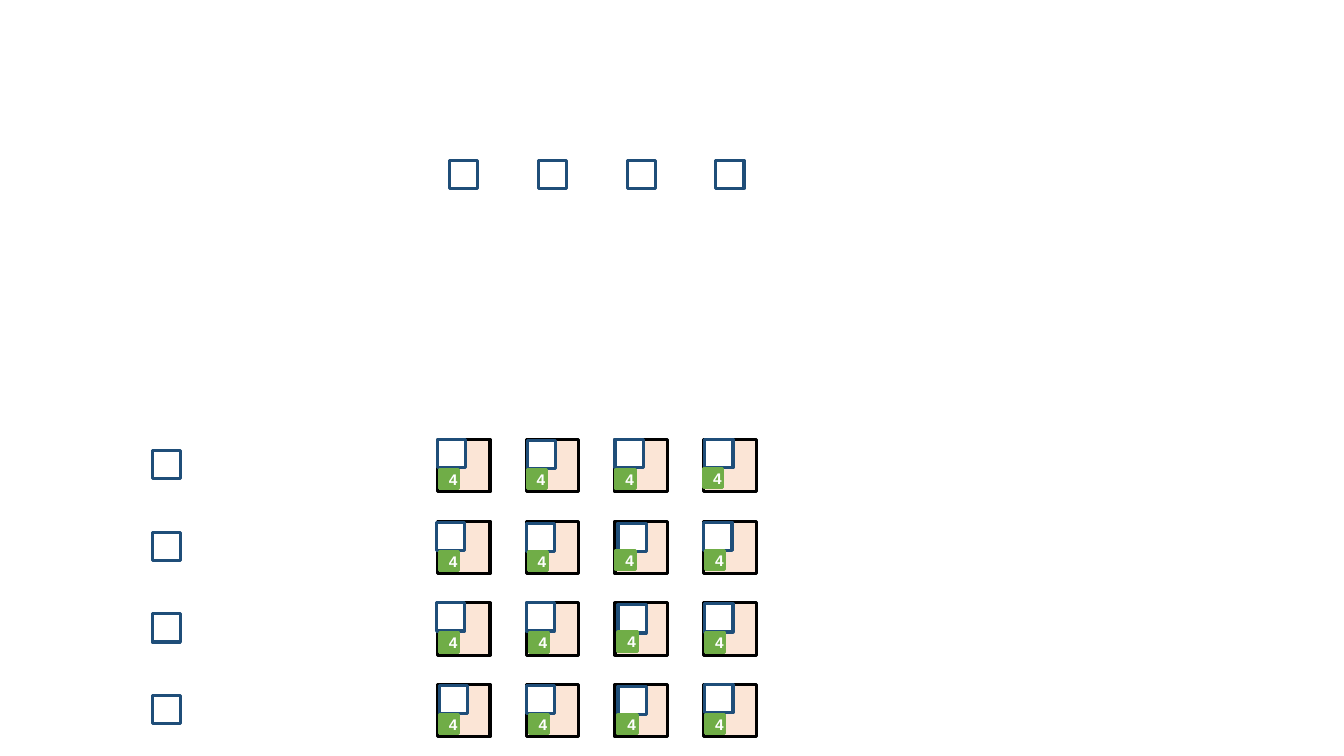
from itertools import product

from pptx import Presentation
from pptx.dml.color import RGBColor
from pptx.enum.shapes import MSO_SHAPE
from pptx.enum.text import MSO_ANCHOR, PP_ALIGN
from pptx.util import Inches, Pt

RECT = MSO_SHAPE.RECTANGLE
MIDDLE, CENTER = MSO_ANCHOR.MIDDLE, PP_ALIGN.CENTER

COLORS = {"white": "FFFFFF", "black": "000000", "peach": "FBE5D6",
          "navy": "1F4E79", "green": "70AD47"}
LABEL = "4"
FONT = {"name": "Arial", "size": Pt(11), "bold": True}

ROWS, COLS = 4, 4
LEFT, TOP = 4.34, 4.36
COL_PITCH, ROW_PITCH = 0.88, 0.81
TILE, BOX, TAG = 0.52, 0.28, 0.19
ROW_BOXES = (1.51, 4.47)
COL_BOXES = (4.46, 1.59)

# Offsets of the small squares from their tile corner, in hundredths of an inch
BOX_OFFSETS = [
    [(0, 0), (1, 1), (0, 0), (1, 0)],
    [(-1, 1), (0, 2), (3, 2), (0, 1)],
    [(-1, 0), (0, 0), (3, 2), (1, 1)],
    [(2, 1), (0, 1), (3, 2), (1, 0)],
]
TAG_OFFSETS = [
    [(2, 30), (1, 30), (1, 30), (0, 29)],
    [(2, 30), (2, 30), (1, 29), (2, 29)],
    [(2, 30), (3, 30), (3, 29), (2, 30)],
    [(2, 30), (3, 30), (3, 30), (2, 30)],
]


def add_rect(s, x, y, w, h, line, fill=None, text=None):
    """Add a rectangle, optionally filled and labelled."""
    sp = s.shapes.add_shape(RECT, Inches(x), Inches(y), Inches(w), Inches(h))
    sp.shadow.inherit = False
    sp.line.color.rgb = RGBColor.from_string(COLORS[line])
    sp.line.width = Pt(2.25)
    if fill:
        sp.fill.solid()
        sp.fill.fore_color.rgb = RGBColor.from_string(COLORS[fill])
    else:
        sp.fill.background()
    if text:
        tf = sp.text_frame
        tf.vertical_anchor = MIDDLE
        p = tf.paragraphs[0]
        p.alignment = CENTER
        r = p.add_run()
        r.text = text
        for name, value in FONT.items():
            setattr(r.font, name, value)
        r.font.color.rgb = RGBColor.from_string(COLORS["white"])


def add_grid(s, size, line, fill, offsets=None, text=None):
    """Add one square per grid cell, shifted by its offset."""
    for row, col in product(range(ROWS), range(COLS)):
        dx, dy = offsets[row][col] if offsets else (0, 0)
        add_rect(s, LEFT + col * COL_PITCH + dx / 100,
                 TOP + row * ROW_PITCH + dy / 100,
                 size, size, line, fill, text)


prs = Presentation()
prs.slide_width, prs.slide_height = Inches(13.33), Inches(7.5)
s = prs.slides.add_slide(prs.slide_layouts[6])

add_rect(s, 1.4, 1.35, 7.25, 6.08, "white", "white")
add_grid(s, TILE, "black", "peach")
add_grid(s, BOX, "navy", "white", BOX_OFFSETS)
add_grid(s, TAG, "green", "green", TAG_OFFSETS, LABEL)

for row in range(ROWS):
    add_rect(s, ROW_BOXES[0], ROW_BOXES[1] + row * ROW_PITCH, BOX, BOX, "navy")
for col in range(COLS):
    add_rect(s, COL_BOXES[0] + col * COL_PITCH, COL_BOXES[1], BOX, BOX, "navy")

prs.save("out.pptx")
